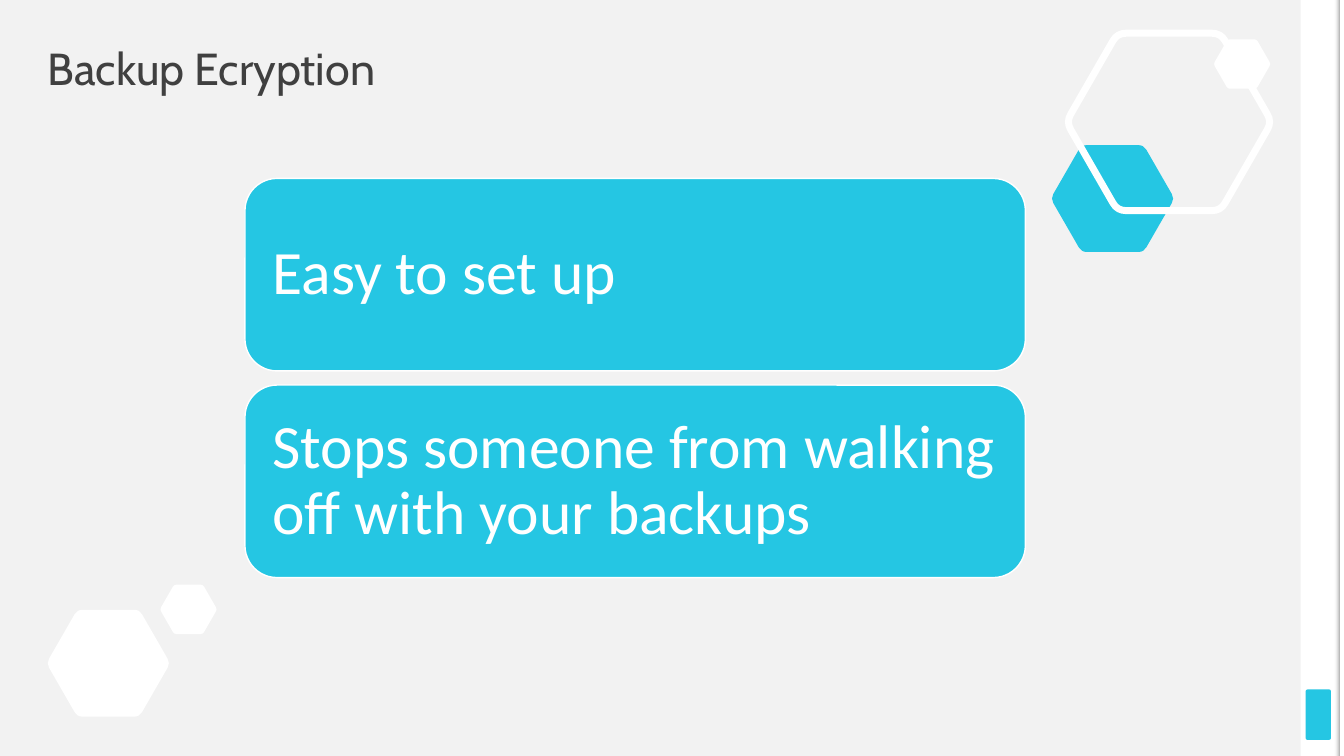
"""Build the backup encryption slide."""
from lxml.etree import SubElement
from pptx import Presentation
from pptx.dml.color import RGBColor
from pptx.enum.shapes import MSO_SHAPE as Preset
from pptx.enum.text import MSO_ANCHOR as Anchor, PP_ALIGN as Align
from pptx.oxml.ns import qn
from pptx.util import Inches, Pt

WHITE = RGBColor(0xFF, 0xFF, 0xFF)
CYAN = RGBColor(0x25, 0xC6, 0xE3)
PALE = RGBColor(0xF2, 0xF2, 0xF2)
GREY = RGBColor(0xA6, 0xA6, 0xA6)
DARK = RGBColor(0x40, 0x40, 0x40)

POINTS = ["Easy to set up", "Stops someone from walking off with your backups"]
CARD_TOP, CARD_PITCH = 1.77, 2.05


def paint(shape, fill=None, line=None, weight=1):
    """Set fill and outline, leaving out whichever is None."""
    shape.shadow.inherit = False
    if fill is None:
        shape.fill.background()
    else:
        shape.fill.solid()
        shape.fill.fore_color.rgb = fill
    if line is None:
        shape.line.fill.background()
    else:
        shape.line.color.rgb = line
        shape.line.width = Pt(weight)


def add_panel(slide, preset, left, top, width, height, fill, line=None):
    """Add a preset shape and return it."""
    panel = slide.shapes.add_shape(
        preset, Inches(left), Inches(top), Inches(width), Inches(height))
    paint(panel, fill, line)
    return panel


def add_edge_shade(slide):
    """Add the thin strip that fades to grey near the right edge."""
    shade = add_panel(slide, Preset.RECTANGLE, 13.24, 0, 0.05, 7.5, PALE)
    shade.fill.gradient()
    shade.fill.gradient_angle = 0
    for stop, colour in zip(shade.fill.gradient_stops, (PALE, GREY)):
        stop.color.rgb = colour
    first_colour = next(shade.fill._xPr.iter(qn("a:srgbClr")))
    SubElement(first_colour, qn("a:alpha"), val="0")


def rounded_corner(before, corner, after, cut):
    """Return start, two controls and finish of the curve at a corner."""
    def toward(end, distance):
        """Return the point at a distance from the corner along one side."""
        dx, dy = end[0] - corner[0], end[1] - corner[1]
        share = distance / (dx * dx + dy * dy) ** 0.5
        return corner[0] + dx * share, corner[1] + dy * share

    return [toward(before, cut), toward(before, cut / 3),
            toward(after, cut / 3), toward(after, cut)]


def bend_corners(hexagon):
    """Turn the three segments at each corner into one Bézier curve."""
    outline = next(hexagon._element.iter(qn("a:path")))
    segments = list(outline)
    for first in range(1, 24, 4):
        curve, *rest = segments[first:first + 3]
        curve.tag = qn("a:cubicBezTo")
        for segment in rest:
            curve.append(segment[0])
            outline.remove(segment)


def add_hexagon(slide, left, top, width, height, fill=None, line=None):
    """Add a hexagon with softly rounded corners."""
    fractions = [(0.245, 0), (0.755, 0), (1.007, 0.5),
                 (0.755, 1), (0.245, 1), (-0.007, 0.5)]
    corners = [(left + x * width, top + y * height) for x, y in fractions]
    outline = []
    for i, corner in enumerate(corners):
        outline += rounded_corner(
            corners[i - 1], corner, corners[(i + 1) % 6], 0.043 * width)
    outline = [(Inches(x), Inches(y)) for x, y in outline]
    builder = slide.shapes.build_freeform(*outline[0])
    builder.add_line_segments(outline[1:], close=True)
    hexagon = builder.convert_to_shape()
    bend_corners(hexagon)
    paint(hexagon, fill, line, weight=5)


def write(shape, text, font, size, colour, inset):
    """Put one left-aligned, vertically centred paragraph into a shape."""
    frame = shape.text_frame
    frame.text = text
    frame.word_wrap = True
    frame.vertical_anchor = Anchor.MIDDLE
    frame.margin_left = frame.margin_right = Inches(inset)
    frame.margin_top = frame.margin_bottom = Inches(inset)
    paragraph = frame.paragraphs[0]
    paragraph.alignment = Align.LEFT
    paragraph.line_spacing = 0.9
    style = paragraph.runs[0].font
    style.name, style.size = font, Pt(size)
    style.color.rgb = colour


def add_title(slide, text):
    """Add the slide title."""
    title = slide.shapes.add_textbox(
        Inches(0.47), Inches(0.47), Inches(12.39), Inches(0.47))
    write(title, text, "Cabin", 32, DARK, 0)


def add_card(slide, top, text):
    """Add one rounded card with its statement."""
    card = add_panel(slide, Preset.ROUNDED_RECTANGLE,
                     2.43, top, 7.74, 1.91, CYAN, WHITE)
    write(card, text, "Calibri", 44, WHITE, 0.18)


def main():
    """Build and save the slide."""
    deck = Presentation()
    deck.slide_width, deck.slide_height = Inches(13.33), Inches(7.5)
    slide = deck.slides.add_slide(deck.slide_layouts[6])
    slide.background.fill.solid()
    slide.background.fill.fore_color.rgb = PALE

    add_panel(slide, Preset.RECTANGLE, 12.9, 0, 0.43, 7.5, WHITE)
    page_tab = add_panel(slide, Preset.ROUNDED_RECTANGLE,
                         12.95, 6.84, 0.25, 0.5, CYAN)
    page_tab.adjustments[0] = 0.07
    add_edge_shade(slide)

    add_hexagon(slide, 0.47, 6.05, 1.21, 1.06, WHITE)
    add_hexagon(slide, 10.43, 1.44, 1.21, 1.06, CYAN)
    add_hexagon(slide, 10.59, 0.33, 2.01, 1.76, line=WHITE)
    add_hexagon(slide, 1.59, 5.8, 0.56, 0.49, WHITE)
    add_hexagon(slide, 12.04, 0.39, 0.56, 0.49, WHITE)

    add_title(slide, "Backup Ecryption")
    for i, point in enumerate(POINTS):
        add_card(slide, CARD_TOP + i * CARD_PITCH, point)
    deck.save("out.pptx")


if __name__ == "__main__":
    main()
